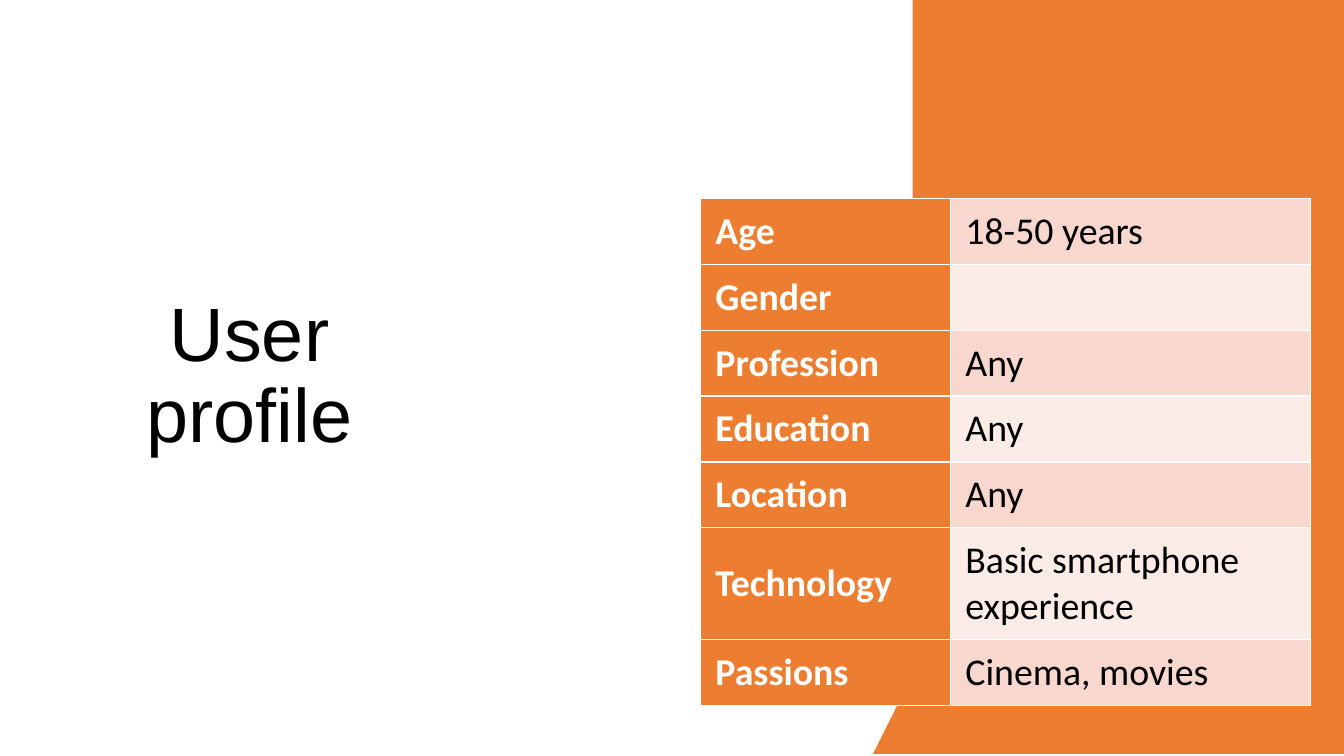
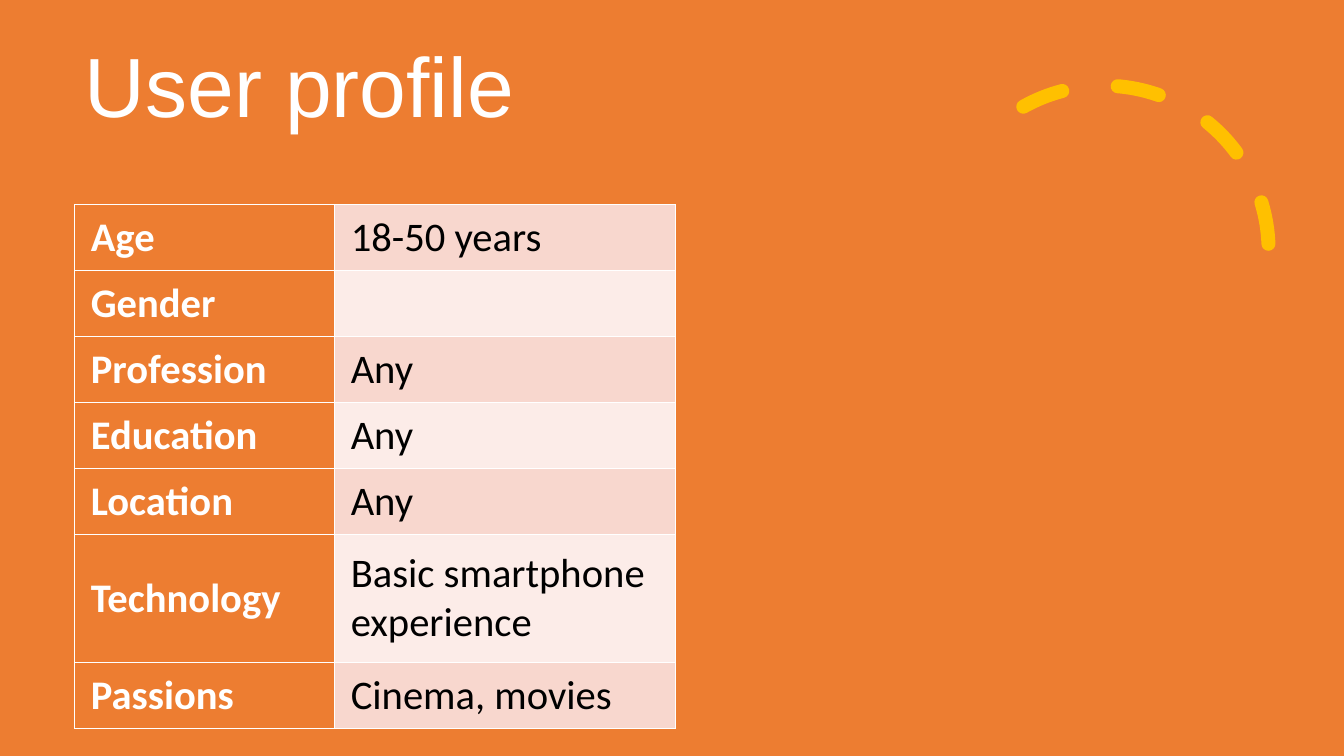
from lxml.etree import SubElement
from pptx import Presentation
from pptx.dml.color import RGBColor
from pptx.enum.dml import MSO_LINE_DASH_STYLE as Dash
from pptx.enum.shapes import MSO_SHAPE as Shape
from pptx.enum.text import MSO_ANCHOR as Anchor, PP_ALIGN as Align
from pptx.oxml import parse_xml
from pptx.oxml.ns import nsdecls, qn
from pptx.util import Cm, Pt

COLORS = {"orange": "ED7D31", "yellow": "FFC000", "white": "FFFFFF",
          "black": "000000", "band_dark": "F8D7CE", "band_light": "FCECE8"}
SLIDE_WIDTH, SLIDE_HEIGHT = 33.87, 19.05
TITLE = "User profile"
PROFILE = [("Age", "18-50 years"), ("Gender", ""), ("Profession", "Any"),
           ("Education", "Any"), ("Location", "Any"),
           ("Technology", "Basic smartphone experience"),
           ("Passions", "Cinema, movies")]
ROW_HEIGHT = 1.66
WAVY_EDGE = [(22.53, 0), (22.56, 1.6), (22.55, 2.59), (22.56, 3.58),
             (22.53, 4.42), (22.53, 5.92), (22.56, 8.18), (22.56, 9.73),
             (22.5, 11.33), (22.53, 12.34), (22.56, 13.41), (22.56, 13.94),
             (22.53, 15.24), (22.53, 16.23), (22.53, 17.4), (22.5, 18.62),
             (22.53, SLIDE_HEIGHT)]


def color(name):
    """Return the named colour."""
    return RGBColor.from_string(COLORS[name])


def paint(fill, name):
    """Make a fill solid in the named colour."""
    fill.solid()
    fill.fore_color.rgb = color(name)


def style_font(font, family, size, color_name, bold=False):
    """Set family, size, colour and weight of a font."""
    font.name, font.size, font.bold = family, Pt(size), bold
    font.color.rgb = color(color_name)


def add_titled_slide(presentation, box, size, color_name, align, anchor):
    """Add a title-only slide and format its title."""
    slide = presentation.slides.add_slide(presentation.slide_layouts[5])
    title = slide.shapes.title
    title.left, title.top, title.width, title.height = map(Cm, box)
    frame = title.text_frame
    frame.text = TITLE
    frame.word_wrap = True
    frame.vertical_anchor = anchor
    paragraph = frame.paragraphs[0]
    paragraph.alignment, paragraph.line_spacing = align, 0.9
    style_font(paragraph.font, "Arial", size, color_name)
    return slide


def add_borders(cell):
    """Draw thin white lines on all four sides of a cell."""
    properties = cell._tc.get_or_add_tcPr()
    for index, side in enumerate(("lnL", "lnR", "lnT", "lnB")):
        properties.insert(index, parse_xml(
            f'<a:{side} {nsdecls("a")} w="{Pt(1)}"><a:solidFill>'
            f'<a:srgbClr val="{COLORS["white"]}"/></a:solidFill></a:{side}>'))


def fill_cell(cell, text, fill_name, text_color, bold, size, inset):
    """Write and format one table cell."""
    cell.text = text
    cell.vertical_anchor = Anchor.MIDDLE
    cell.margin_left = cell.margin_right = Cm(inset)
    cell.margin_top = cell.margin_bottom = Cm(0.2)
    style_font(cell.text_frame.paragraphs[0].font, "Calibri", size, text_color, bold)
    paint(cell.fill, fill_name)
    add_borders(cell)


def add_profile_table(slide, left, top, widths, tall_row, size, inset):
    """Add the profile table with a header column and banded values."""
    heights = [tall_row if label == "Technology" else ROW_HEIGHT
               for label, _ in PROFILE]
    table = slide.shapes.add_table(
        len(PROFILE), 2, Cm(left), Cm(top), Cm(sum(widths)), Cm(sum(heights))).table
    table.first_row = table.horz_banding = False
    for column, width in zip(table.columns, widths):
        column.width = Cm(width)
    for index, (label, value) in enumerate(PROFILE):
        table.rows[index].height = Cm(heights[index])
        band = "band_light" if index % 2 else "band_dark"
        fill_cell(table.cell(index, 0), label, "orange", "white", True, size, inset)
        fill_cell(table.cell(index, 1), value, band, "black", False, size, inset)


def add_wavy_panel(slide):
    """Add the orange panel with a wavy left edge."""
    builder = slide.shapes.build_freeform(SLIDE_WIDTH, 0, scale=Cm(1))
    builder.add_line_segments(WAVY_EDGE + [(SLIDE_WIDTH, SLIDE_HEIGHT)], close=True)
    panel = builder.convert_to_shape()
    panel.shadow.inherit = False
    paint(panel.fill, "orange")
    panel.line.fill.background()


def add_dashed_arc(slide, left, top, diameter):
    """Add the yellow arc with rounded dashes."""
    arc = slide.shapes.add_shape(
        Shape.ARC, Cm(left), Cm(top), Cm(diameter), Cm(diameter))
    arc.shadow.inherit = False
    arc.adjustments[0], arc.adjustments[1] = 144.42, 0
    arc.fill.background()
    arc.line.width = Pt(10)
    arc.line.color.rgb = color("yellow")
    arc.line.dash_style = Dash.DASH
    outline = arc.line._get_or_add_ln()
    outline.set("cap", "rnd")
    SubElement(outline, qn("a:round"))


def main():
    """Build and save the two profile slides."""
    presentation = Presentation()
    presentation.slide_width, presentation.slide_height = Cm(SLIDE_WIDTH), Cm(SLIDE_HEIGHT)

    slide = add_titled_slide(presentation, (1.32, 8.2, 9.93, 2.62), 54,
                             "black", Align.CENTER, Anchor.MIDDLE)
    add_wavy_panel(slide)
    add_profile_table(slide, 17.65, 5, (6.3, 9.07), 2.82, 27, 0.38)

    slide = add_titled_slide(presentation, (1.88, 0.76, 14.25, 2.79), 60,
                             "white", Align.LEFT, Anchor.BOTTOM)
    paint(slide.background.fill, "orange")
    add_dashed_arc(slide, 23.67, 2.16, 8.3)
    add_profile_table(slide, 1.88, 5.16, (6.55, 8.59), 3.23, 29, 0.41)

    presentation.save("out.pptx")


if __name__ == "__main__":
    main()
